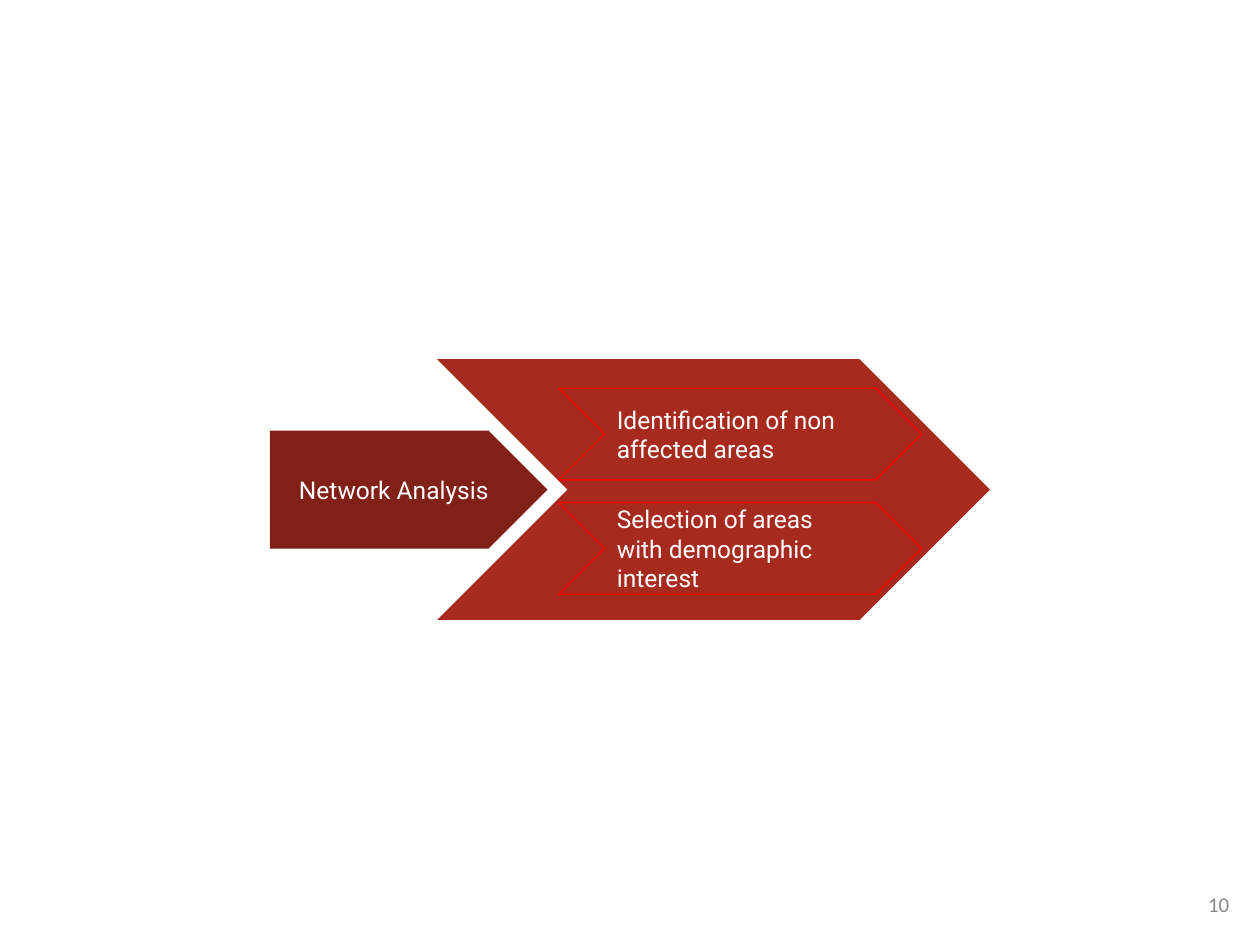
from dataclasses import dataclass
from pptx import Presentation
from pptx.dml.color import RGBColor
from pptx.enum.shapes import MSO_SHAPE
from pptx.enum.text import MSO_ANCHOR, PP_ALIGN
from pptx.util import Pt

CHEVRON, PENTAGON = MSO_SHAPE.CHEVRON, MSO_SHAPE.PENTAGON
LEFT, CENTER, RIGHT = PP_ALIGN.LEFT, PP_ALIGN.CENTER, PP_ALIGN.RIGHT
MIDDLE = MSO_ANCHOR.MIDDLE


@dataclass(frozen=True)
class Theme:
    red: str = "A72A1E"
    dark: str = "802017"
    outline: str = "FF0000"
    white: str = "FFFFFF"
    gray: str = "888888"
    label: float = 14
    number: float = 12


theme = Theme()


def set_text(sp, text, size=theme.label, font="Roboto", color=theme.white,
             align=LEFT, inset=7.2):
    tf = sp.text_frame
    tf.word_wrap = True
    tf.vertical_anchor = MIDDLE
    tf.margin_left = tf.margin_right = Pt(7.2)
    tf.margin_top = tf.margin_bottom = Pt(inset)
    p = tf.paragraphs[0]
    p.alignment = align
    r = p.add_run()
    r.text = text
    r.font.size = Pt(size)
    r.font.name = font
    r.font.color.rgb = RGBColor.from_string(color)


def add_arrow(kind, x, y, w, h, fill, line=None):
    sp = s.shapes.add_shape(kind, Pt(x), Pt(y), Pt(w), Pt(h))
    sp.shadow.inherit = False
    sp.adjustments[0] = 0.5
    sp.fill.solid()
    sp.fill.fore_color.rgb = RGBColor.from_string(fill)
    if line:
        sp.line.color.rgb = RGBColor.from_string(line)
        sp.line.width = Pt(0.75)
    else:
        sp.line.fill.background()
    return sp


prs = Presentation()
prs.slide_width, prs.slide_height = Pt(720), Pt(540)
s = prs.slides.add_slide(prs.slide_layouts[6])

number = s.shapes.add_textbox(Pt(541.5), Pt(502), Pt(168), Pt(28.8))
set_text(number, "10", size=theme.number, font="Calibri", color=theme.gray,
         align=RIGHT, inset=3.6)

add_arrow(CHEVRON, 249.8, 205.3, 316, 149, theme.red)
source = add_arrow(PENTAGON, 154.2, 246.1, 158.6, 67.4, theme.dark)
set_text(source, "Network Analysis", align=CENTER)

steps = ["Identification of non affected areas",
         "Selection of areas with demographic interest"]
for i, text in enumerate(steps):
    sp = add_arrow(CHEVRON, 319.2, 221.8 + i * 65.4, 207.4, 52.4,
                   theme.red, theme.outline)
    set_text(sp, text)

prs.save("out.pptx")
